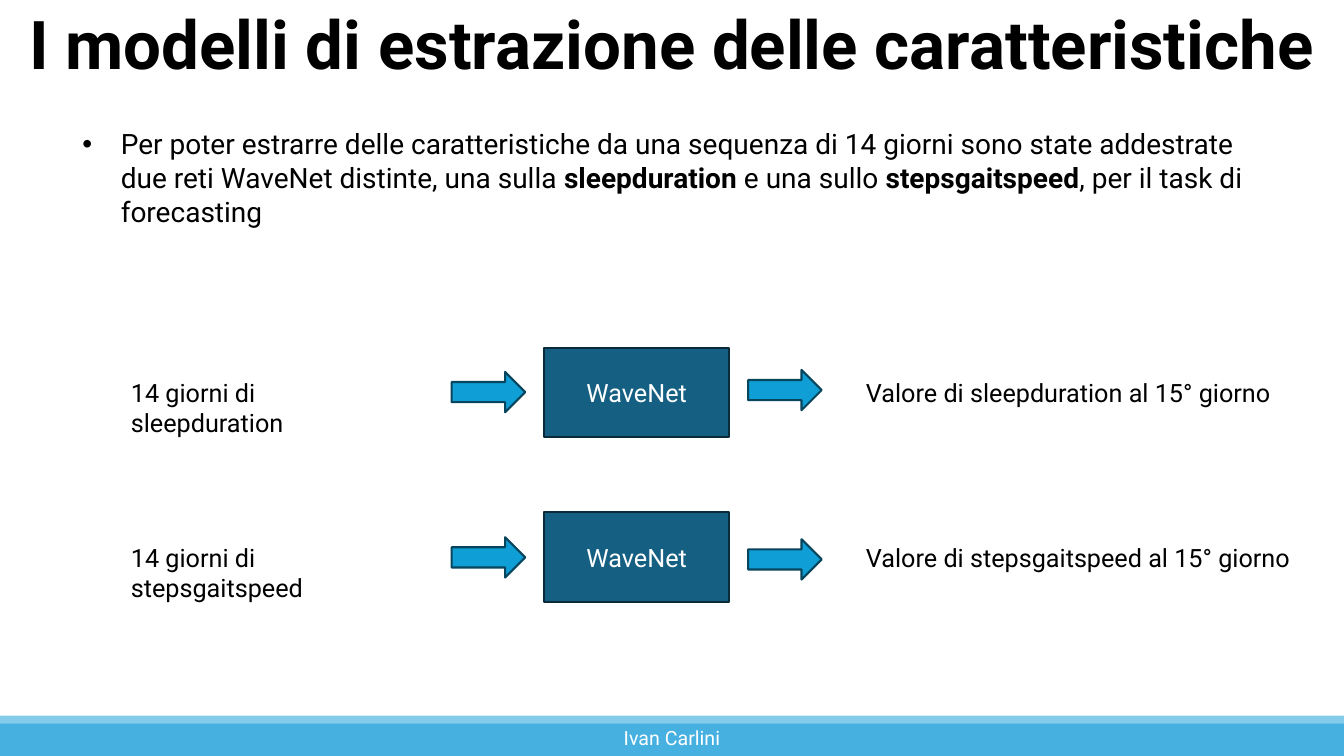
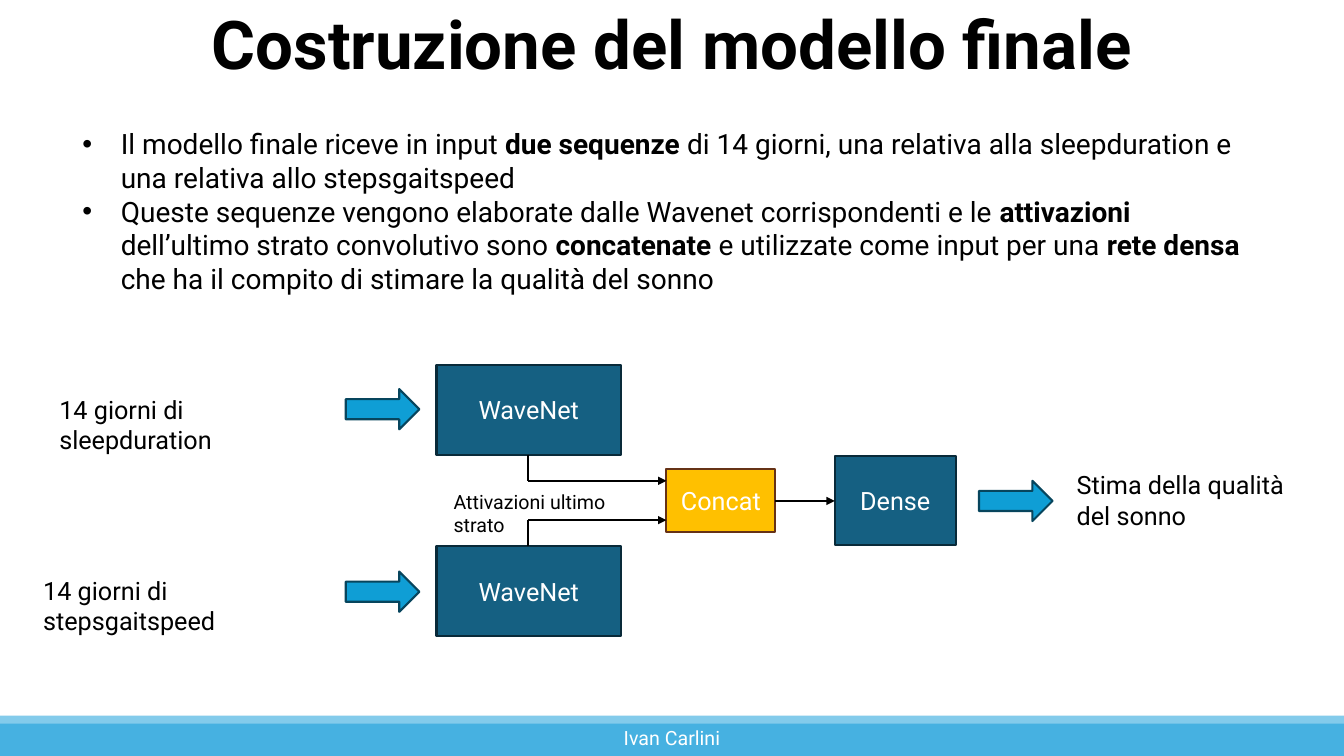
"""Two slides on WaveNet feature extraction and the final sleep quality model."""
from lxml.etree import SubElement
from pptx import Presentation
from pptx.dml.color import RGBColor
from pptx.enum.shapes import MSO_CONNECTOR, MSO_SHAPE
from pptx.enum.text import MSO_ANCHOR, MSO_AUTO_SIZE, PP_ALIGN
from pptx.oxml.ns import qn
from pptx.util import Inches, Pt

FONT = "Roboto"
BLACK = RGBColor(0x00, 0x00, 0x00)
WHITE = RGBColor(0xFF, 0xFF, 0xFF)
FOOTER_BLUE = RGBColor(0x46, 0xB1, 0xE1)
FOOTER_EDGE = RGBColor(0x83, 0xCB, 0xEB)
ARROW_FILL = RGBColor(0x0F, 0x9E, 0xD5)
ARROW_LINE = RGBColor(0x07, 0x45, 0x5D)
BLOCK_FILL = RGBColor(0x15, 0x60, 0x82)
BLOCK_LINE = RGBColor(0x09, 0x2A, 0x39)
CONCAT_FILL = RGBColor(0xFF, 0xC0, 0x00)
CONCAT_LINE = RGBColor(0x66, 0x32, 0x16)

SLIDE_WIDTH, SLIDE_HEIGHT = 13.33, 7.5
ARROW_WIDTH, ARROW_HEIGHT = 0.73, 0.4
BLOCK_HEIGHT = 0.89
WAVENET_WIDTH = 1.83
SLEEP_INPUT = "14 giorni di sleepduration"
STEPS_INPUT = "14 giorni di stepsgaitspeed"


def write_text(shape, text, size=18, color=BLACK, bold=False, align=PP_ALIGN.LEFT,
               anchor=MSO_ANCHOR.TOP, spacing=1.0, bullet=False):
    """Write one paragraph per line; pieces between ** marks are bold."""
    frame = shape.text_frame
    frame.word_wrap = True
    frame.auto_size = MSO_AUTO_SIZE.NONE
    frame.vertical_anchor = anchor
    for index, line in enumerate(text.split("\n")):
        paragraph = frame.add_paragraph() if index else frame.paragraphs[0]
        paragraph.alignment = align
        paragraph.line_spacing = spacing
        if bullet:
            properties = paragraph._p.get_or_add_pPr()
            properties.set("marL", str(Inches(0.38)))
            properties.set("indent", str(Inches(-0.38)))
            SubElement(properties, qn("a:buFont"), typeface="Arial")
            SubElement(properties, qn("a:buChar"), char="•")
        for position, piece in enumerate(line.split("**")):
            if piece:
                run = paragraph.add_run()
                run.text = piece
                run.font.name = FONT
                run.font.size = Pt(size)
                run.font.bold = bold or position % 2 == 1
                run.font.color.rgb = color


def add_block(slide, preset, place, fill, line=None, text="", size=18):
    """Add a filled shape with an optional outline and centred white text."""
    shape = slide.shapes.add_shape(preset, *map(Inches, place))
    shape.shadow.inherit = False
    shape.fill.solid()
    shape.fill.fore_color.rgb = fill
    if line is None:
        shape.line.fill.background()
    else:
        shape.line.color.rgb = line
        shape.line.width = Pt(1.5)
    if text:
        write_text(shape, text, size=size, color=WHITE, align=PP_ALIGN.CENTER,
                   anchor=MSO_ANCHOR.MIDDLE)


pages = [
    {
        "title": "I modelli di estrazione delle caratteristiche",
        "body": "Per poter estrarre delle caratteristiche da una sequenza di 14 giorni sono state "
                "addestrate due reti WaveNet distinte, una sulla **sleepduration** e una sullo "
                "**stepsgaitspeed**, per il task di forecasting",
        "body_height": 1.11,
        "labels": [
            (SLEEP_INPUT, 18, (1.2, 3.69, 2.94, 0.4)),
            (STEPS_INPUT, 18, (1.2, 5.33, 3.1, 0.4)),
            ("Valore di sleepduration al 15° giorno", 18, (8.49, 3.69, 4.42, 0.4)),
            ("Valore di stepsgaitspeed al 15° giorno", 18, (8.49, 5.33, 4.42, 0.4)),
        ],
        "arrows": [(4.48, 3.69), (4.48, 5.33), (7.42, 3.67), (7.42, 5.35)],
        "wavenets": [(5.4, 3.45), (5.4, 5.08)],
    },
    {
        "title": "Costruzione del modello finale",
        "body": "Il modello finale riceve in input **due sequenze **di 14 giorni, una relativa alla "
                "sleepduration e una relativa allo stepsgaitspeed\n"
                "Queste sequenze vengono elaborate dalle Wavenet corrispondenti e le "
                "**attivazioni** dell’ultimo strato convolutivo sono **concatenate** e utilizzate "
                "come input per una **rete densa** che ha il compito di stimare la qualità del sonno",
        "body_height": 1.78,
        "labels": [
            (SLEEP_INPUT, 18, (0.49, 3.86, 2.94, 0.4)),
            (STEPS_INPUT, 18, (0.33, 5.66, 3.1, 0.4)),
            ("Stima della qualità del sonno", 18, (10.58, 4.61, 2.42, 0.71)),
            ("Attivazioni ultimo strato", 14, (4.4, 4.81, 2.2, 0.34)),
        ],
        "arrows": [(3.43, 3.86), (3.43, 5.67), (9.71, 4.77)],
        "wavenets": [(4.33, 3.62), (4.33, 5.42)],
    },
]

presentation = Presentation()
presentation.slide_width = Inches(SLIDE_WIDTH)
presentation.slide_height = Inches(SLIDE_HEIGHT)
title_only = presentation.slide_layouts[5]

for page in pages:
    slide = presentation.slides.add_slide(title_only)
    title = slide.shapes.title
    title.left, title.top = Inches(0), Inches(0)
    title.width, title.height = Inches(SLIDE_WIDTH), Inches(0.88)
    write_text(title, page["title"], size=48, bold=True, align=PP_ALIGN.CENTER,
               anchor=MSO_ANCHOR.BOTTOM, spacing=0.9)

    add_block(slide, MSO_SHAPE.RECTANGLE, (0, 7.14, SLIDE_WIDTH, 0.36), FOOTER_BLUE,
              text="Ivan Carlini", size=14)
    add_block(slide, MSO_SHAPE.RECTANGLE, (0, 7.1, SLIDE_WIDTH, 0.08), FOOTER_EDGE)

    body = slide.shapes.add_textbox(Inches(0.72), Inches(1.21), Inches(11.9),
                                    Inches(page["body_height"]))
    write_text(body, page["body"], size=20, bullet=True)

    for text, size, place in page["labels"]:
        label = slide.shapes.add_textbox(*map(Inches, place))
        write_text(label, text, size=size)
    for left, top in page["arrows"]:
        add_block(slide, MSO_SHAPE.RIGHT_ARROW, (left, top, ARROW_WIDTH, ARROW_HEIGHT),
                  ARROW_FILL, ARROW_LINE)
    for left, top in page["wavenets"]:
        add_block(slide, MSO_SHAPE.RECTANGLE, (left, top, WAVENET_WIDTH, BLOCK_HEIGHT),
                  BLOCK_FILL, BLOCK_LINE, "WaveNet")

add_block(slide, MSO_SHAPE.RECTANGLE, (6.61, 4.65, 1.08, 0.63), CONCAT_FILL, CONCAT_LINE, "Concat")
add_block(slide, MSO_SHAPE.RECTANGLE, (8.28, 4.52, 1.2, BLOCK_HEIGHT), BLOCK_FILL, BLOCK_LINE, "Dense")

links = [
    (5.24, 4.51, 5.24, 4.77, False),
    (5.24, 4.77, 6.61, 4.77, True),
    (5.24, 5.42, 5.24, 5.16, False),
    (5.24, 5.16, 6.61, 5.16, True),
    (7.69, 4.97, 8.28, 4.97, True),
]
for *ends, has_head in links:
    connector = slide.shapes.add_connector(MSO_CONNECTOR.STRAIGHT, *map(Inches, ends))
    connector.line.color.rgb = BLACK
    connector.line.width = Pt(1.5)
    properties = connector._element.spPr
    if has_head:
        SubElement(properties.find(qn("a:ln")), qn("a:tailEnd"), type="triangle")
    SubElement(properties, qn("a:effectLst"))

presentation.save("out.pptx")
